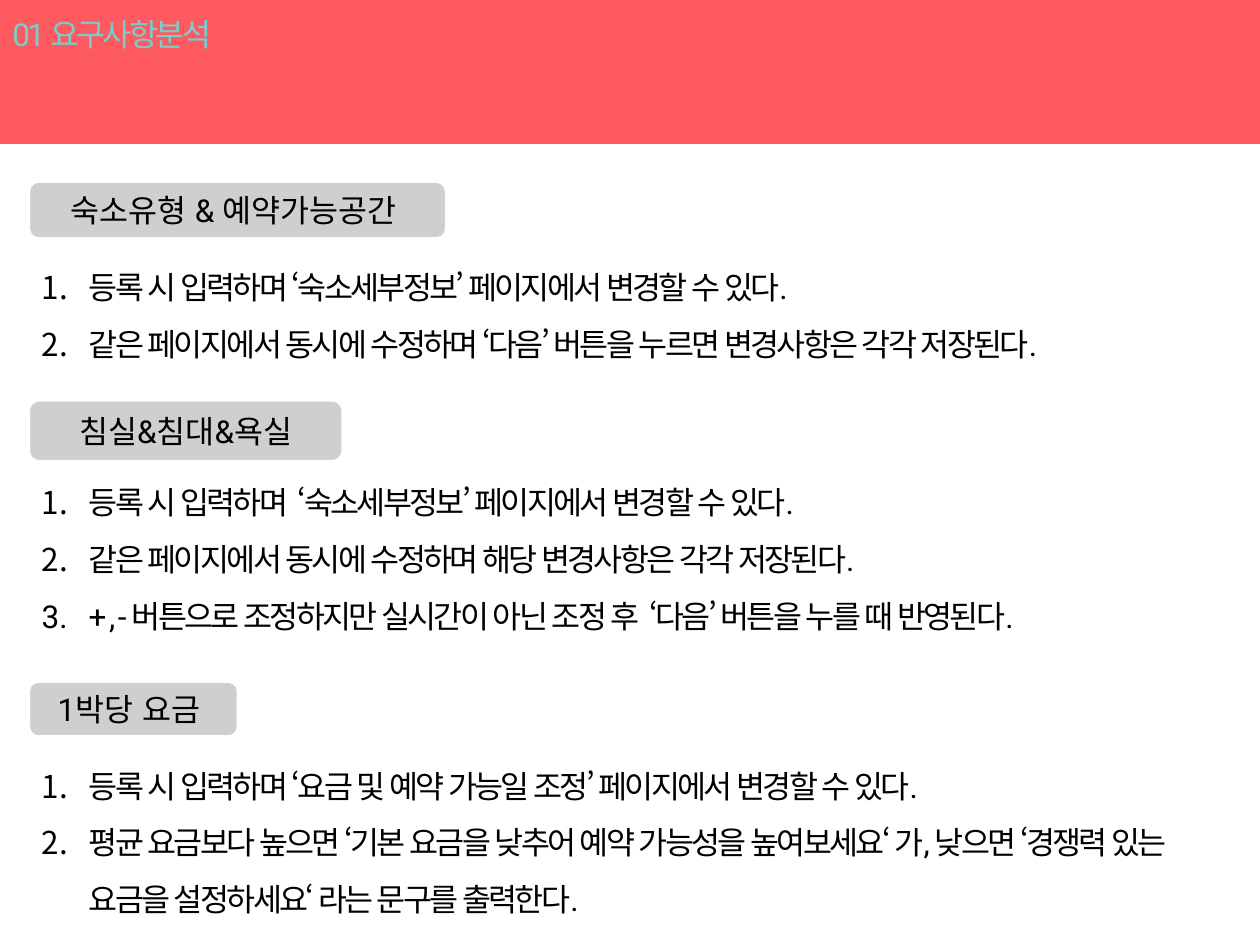
from dataclasses import dataclass

from lxml import etree
from pptx import Presentation
from pptx.dml.color import RGBColor
from pptx.enum.lang import MSO_LANGUAGE_ID
from pptx.enum.shapes import MSO_SHAPE
from pptx.enum.text import MSO_ANCHOR, MSO_AUTO_SIZE, PP_ALIGN
from pptx.oxml.ns import qn
from pptx.util import Cm, Pt

RECTANGLE = MSO_SHAPE.RECTANGLE
ROUNDED = MSO_SHAPE.ROUNDED_RECTANGLE
MIDDLE = MSO_ANCHOR.MIDDLE
CENTER = PP_ALIGN.CENTER
FIT_TEXT = MSO_AUTO_SIZE.SHAPE_TO_FIT_TEXT
KOREAN = MSO_LANGUAGE_ID.KOREAN


@dataclass(frozen=True)
class Theme:
    font: str = "Roboto"
    size: int = 18
    tracking: float = -1.5
    line_width: int = 1
    line_spacing: float = 1.5
    coral: RGBColor = RGBColor(0xFF, 0x5A, 0x60)
    teal: RGBColor = RGBColor(0x78, 0xCD, 0xCD)
    gray: RGBColor = RGBColor(0xD0, 0xCE, 0xCE)
    white: RGBColor = RGBColor(0xFF, 0xFF, 0xFF)
    black: RGBColor = RGBColor(0, 0, 0)


THEME = Theme()
LEFT = 0.59
LIST_WIDTH = 23.14
INDENT = Cm(0.95)

SECTIONS = [
    ("숙소유형 & 예약가능공간 ", (3.67, 8.4, 1.13), (4.9, 2.41), [
        "등록 시 입력하며 ‘숙소세부정보’ 페이지에서 변경할 수 있다.",
        "같은 페이지에서 동시에 수정하며 ‘다음’ 버튼을 누르면 변경사항은 각각 저장된다.",
    ]),
    ("침실&침대&욕실", (8.08, 6.31, 1.21), (9.24, 3.58), [
        "등록 시 입력하며  ‘숙소세부정보’ 페이지에서 변경할 수 있다.",
        "같은 페이지에서 동시에 수정하며 해당 변경사항은 각각 저장된다.",
        "+ , - 버튼으로 조정하지만 실시간이 아닌 조정 후  ‘다음’ 버튼을 누를 때 반영된다.",
    ]),
    ("1박당 요금 ", (13.75, 4.2, 1.09), (14.95, 3.58), [
        "등록 시 입력하며 ‘요금 및 예약 가능일 조정’ 페이지에서 변경할 수 있다.",
        "평균 요금보다 높으면 ‘기본 요금을 낮추어 예약 가능성을 높여보세요‘ 가, "
        "낮으면 ‘경쟁력 있는 요금을 설정하세요‘ 라는 문구를 출력한다.",
    ]),
]


def style_text(paragraph, color, tracking=0):
    for span in paragraph.runs:
        span.font.name = THEME.font
        span.font.size = Pt(THEME.size)
        span.font.color.rgb = color
        span.font.language_id = KOREAN
        if tracking:
            span.font._element.set("spc", str(int(tracking * 100)))


def number_paragraph(paragraph):
    properties = paragraph._p.get_or_add_pPr()
    properties.set("marL", str(INDENT))
    properties.set("indent", str(-INDENT))
    etree.SubElement(properties, qn("a:buFont")).set("typeface", "+mj-lt")
    etree.SubElement(properties, qn("a:buAutoNum")).set("type", "arabicPeriod")
    paragraph.line_spacing = THEME.line_spacing


def add_panel(page, kind, left, top, width, height, fill, line):
    panel = page.shapes.add_shape(kind, Cm(left), Cm(top), Cm(width), Cm(height))
    panel.shadow.inherit = False
    panel.fill.solid()
    panel.fill.fore_color.rgb = fill
    panel.line.color.rgb = line
    panel.line.width = Pt(THEME.line_width)
    return panel


def add_label(page, text, top, width, height):
    label = add_panel(page, ROUNDED, LEFT, top, width, height, THEME.gray, THEME.white)
    frame = label.text_frame
    frame.text = text
    frame.vertical_anchor = MIDDLE
    frame.paragraphs[0].alignment = CENTER
    style_text(frame.paragraphs[0], THEME.black)


def add_text(page, text, left, top, width, height, color, wrap):
    box = page.shapes.add_textbox(Cm(left), Cm(top), Cm(width), Cm(height))
    frame = box.text_frame
    frame.word_wrap = wrap
    frame.auto_size = FIT_TEXT
    frame.text = text
    for paragraph in frame.paragraphs:
        style_text(paragraph, color, THEME.tracking)
    return frame


def add_numbered_list(page, items, top, height):
    frame = add_text(page, "\n".join(items), LEFT, top, LIST_WIDTH, height,
                     THEME.black, True)
    for paragraph in frame.paragraphs:
        number_paragraph(paragraph)


def main():
    deck = Presentation()
    deck.slide_width, deck.slide_height = Cm(25.4), Cm(19.05)
    page = deck.slides.add_slide(deck.slide_layouts[6])
    add_panel(page, RECTANGLE, 0, 0, 25.4, 2.88, THEME.coral, THEME.coral)
    add_text(page, "01 요구사항분석", 0, 0.18, 4.78, 1.02, THEME.teal, False)
    for title, label_place, list_place, items in SECTIONS:
        add_label(page, title, *label_place)
        add_numbered_list(page, items, *list_place)
    deck.save("out.pptx")


if __name__ == "__main__":
    main()
